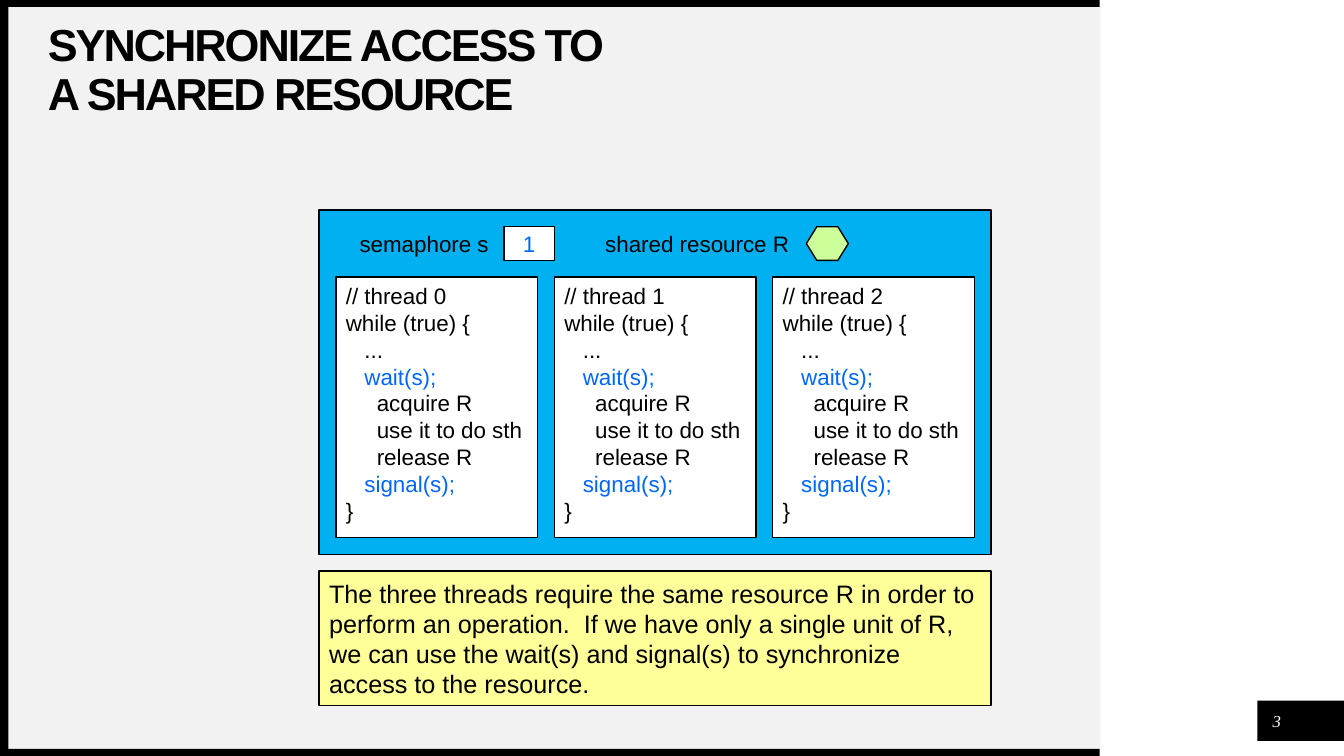
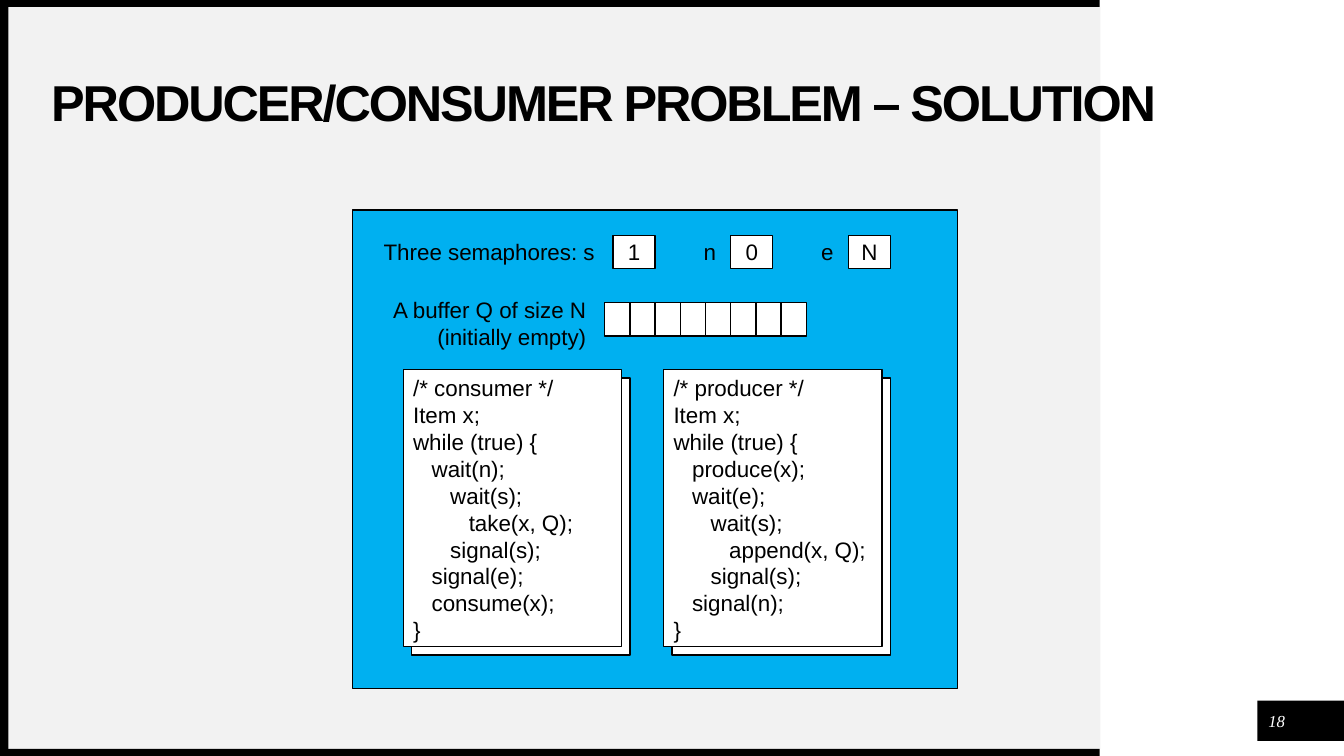
from dataclasses import dataclass
from typing import NamedTuple

from pptx import Presentation
from pptx.dml.color import RGBColor
from pptx.enum.shapes import MSO_SHAPE, PP_PLACEHOLDER
from pptx.enum.text import MSO_ANCHOR, MSO_AUTO_SIZE, PP_ALIGN
from pptx.util import Inches, Pt

COLS, ROWS = 160, 90
CELL = Inches(1) / 12


@dataclass(frozen=True)
class Theme:
    font: str = "Arial"
    serif: str = "Times New Roman"
    black: str = "000000"
    white: str = "FFFFFF"
    grey: str = "F2F2F2"
    sky: str = "00B0F0"
    blue: str = "0066FF"
    cream: str = "FFFF99"
    green: str = "CCFF99"
    code: int = 16
    note: int = 18
    page: int = 12
    track: int = -150


class Box(NamedTuple):
    """Column, row, width and height in grid cells."""
    col: float
    row: float
    wide: float
    high: float

    def spot(self) -> tuple[int, ...]:
        return tuple(round(n * CELL) for n in self)


class Label(NamedTuple):
    text: str
    box: Box
    align: PP_ALIGN = PP_ALIGN.CENTER


class Value(NamedTuple):
    text: str
    col: float


class Code(NamedTuple):
    text: str
    col: float


THEME = Theme()

# Shared frame: panel, border bands and page tag
BANDS = [
    (Box(1, 0.84, 130, 88.32), THEME.grey),
    (Box(149.7, 83.4, 10.3, 4.8), THEME.black),
    (Box(0, 89.16, 130.9, 0.84), THEME.black),
    (Box(0, 0, 130.9, 0.84), THEME.black),
    (Box(0, 0.4, 1, 89.6), THEME.black),
]

THREAD = """// thread {}
while (true) {{
   ...
   wait(s);
     acquire R
     use it to do sth
     release R
   signal(s);
}}"""

NOTE = ("The three threads require the same resource R in order to perform "
        "an operation.  If we have only a single unit of R, we can use the "
        "wait(s) and signal(s) to synchronize access to the resource.")

CONSUMER = """/* consumer */
Item x;
while (true) {
   wait(n);
      wait(s);
         take(x, Q);
      signal(s);
   signal(e);
   consume(x);
}"""

PRODUCER = """/* producer */
Item x;
while (true) {
   produce(x);
   wait(e);
      wait(s);
         append(x, Q);
      signal(s);
   signal(n);
}"""


def style(shape, size: int, color: str = THEME.black, font: str = THEME.font,
          align: PP_ALIGN = PP_ALIGN.LEFT, bold: bool = False,
          slant: bool = False) -> None:
    """Format every run of a shape."""
    for para in shape.text_frame.paragraphs:
        para.alignment = align
        for run in para.runs:
            run.font.name, run.font.size = font, Pt(size)
            run.font.bold, run.font.italic = bold, slant
            run.font.color.rgb = RGBColor.from_string(color)


def block(slide, box: Box, fill: str, line: bool = True,
          kind: MSO_SHAPE = MSO_SHAPE.RECTANGLE):
    shape = slide.shapes.add_shape(kind, *box.spot())
    shape.shadow.inherit = False
    shape.fill.solid()
    shape.fill.fore_color.rgb = RGBColor.from_string(fill)
    if line:
        shape.line.color.rgb = RGBColor.from_string(THEME.black)
        shape.line.width = Pt(1)
    else:
        shape.line.fill.background()
    return shape


def write(shape, text: str, anchor: MSO_ANCHOR = MSO_ANCHOR.MIDDLE) -> None:
    frame = shape.text_frame
    frame.text = text
    frame.vertical_anchor = anchor
    frame.word_wrap = True


def trim(frame) -> None:
    frame.margin_left = frame.margin_right = 0
    frame.margin_top = frame.margin_bottom = 0


def label(slide, item: Label) -> None:
    shape = slide.shapes.add_textbox(*item.box.spot())
    write(shape, item.text)
    trim(shape.text_frame)
    style(shape, THEME.code, align=item.align)


def value(slide, text: str, box: Box, color: str = THEME.black) -> None:
    shape = block(slide, box, THEME.white)
    write(shape, text)
    style(shape, THEME.code, color, align=PP_ALIGN.CENTER)


def code(slide, text: str, box: Box, marks: tuple[str, ...] = ()) -> None:
    """Draw a listing, with marked lines in blue."""
    shape = block(slide, box, THEME.white)
    write(shape, text, MSO_ANCHOR.TOP)
    style(shape, THEME.code)
    for para in shape.text_frame.paragraphs:
        if para.text.strip() in marks:
            para.runs[0].font.color.rgb = RGBColor.from_string(THEME.blue)


def start(deck, layout, text: str, box: Box, size: int, page: int):
    """Add a slide with its title and page number."""
    slide = deck.slides.add_slide(layout)
    title = slide.shapes.title
    title.left, title.top, title.width, title.height = box.spot()
    write(title, text)
    title.text_frame.auto_size = MSO_AUTO_SIZE.NONE
    trim(title.text_frame)
    style(title, size, bold=True)
    for para in title.text_frame.paragraphs:
        para.line_spacing = 0.9
        for run in para.runs:
            run.font._element.set("spc", str(THEME.track))
    number = slide.shapes.add_textbox(*Box(150.2, 84, 3.6, 3.6).spot())
    write(number, str(page))
    trim(number.text_frame)
    style(number, THEME.page, THEME.white, THEME.serif, PP_ALIGN.CENTER,
          slant=True)
    return slide


def dress(deck, layout) -> None:
    """Put the shared bands on the layout, behind its title."""
    for holder in list(layout.placeholders):
        if holder.placeholder_format.type != PP_PLACEHOLDER.TITLE:
            layout.shapes.element.remove(holder.element)
    slide = deck.slides[0]
    shapes = [block(slide, box, fill, line=False) for box, fill in BANDS]
    for rank, shape in enumerate(shapes):
        layout.shapes.element.insert(2 + rank, shape.element)


def share(slide) -> None:
    """Three threads guarded by one semaphore."""
    block(slide, Box(38, 25, 80, 41), THEME.sky)
    label(slide, Label("semaphore s", Box(42, 27, 17, 4)))
    value(slide, "1", Box(60, 27, 6, 4), THEME.blue)
    label(slide, Label("shared resource R", Box(71, 27, 24, 4)))
    token = block(slide, Box(96, 27, 5, 4), THEME.green,
                  kind=MSO_SHAPE.HEXAGON)
    token.adjustments[0] = 0.31
    for rank in range(3):
        code(slide, THREAD.format(rank), Box(40 + 26 * rank, 33, 24, 31),
             ("wait(s);", "signal(s);"))
    note = block(slide, Box(38, 68, 80, 16), THEME.cream)
    write(note, NOTE)
    style(note, THEME.note)


def solve(slide) -> None:
    """Producer and consumer with three semaphores."""
    block(slide, Box(42, 25, 72, 57), THEME.sky)
    # Semaphores and buffer label
    for item in (Label("Three semaphores: s", Box(44, 28, 26.8, 4),
                       PP_ALIGN.RIGHT),
                 Label("n", Box(83, 28, 3, 4)),
                 Label("e", Box(97, 28, 3, 4)),
                 Label("A buffer Q of size N\n(initially empty)",
                       Box(43, 35, 26.8, 7), PP_ALIGN.RIGHT)):
        label(slide, item)
    for item in (Value("1", 73), Value("0", 87), Value("N", 101)):
        value(slide, item.text, Box(item.col, 28, 5, 4))
    # Buffer
    for rank in range(8):
        block(slide, Box(72 + 3 * rank, 36, 3, 4), THEME.white)
    # Stacked listings
    for item in (Code(CONSUMER, 48), Code(PRODUCER, 79)):
        block(slide, Box(item.col + 1, 45, 26, 33), THEME.white)
        code(slide, item.text, Box(item.col, 44, 26, 33))


def main() -> None:
    deck = Presentation()
    deck.slide_width = round(COLS * CELL)
    deck.slide_height = round(ROWS * CELL)
    layout = deck.slide_layouts[5]
    first = start(deck, layout,
                  "SYNCHRONIZE ACCESS TO \vA SHARED RESOURCE",
                  Box(5.7, 5.7, 120.7, 5.6), 32, 3)
    dress(deck, layout)
    share(first)
    solve(start(deck, layout, "PRODUCER/CONSUMER PROBLEM – SOLUTION",
                Box(6.1, 5, 131.9, 15), 36, 18))
    deck.save("out.pptx")


if __name__ == "__main__":
    main()
